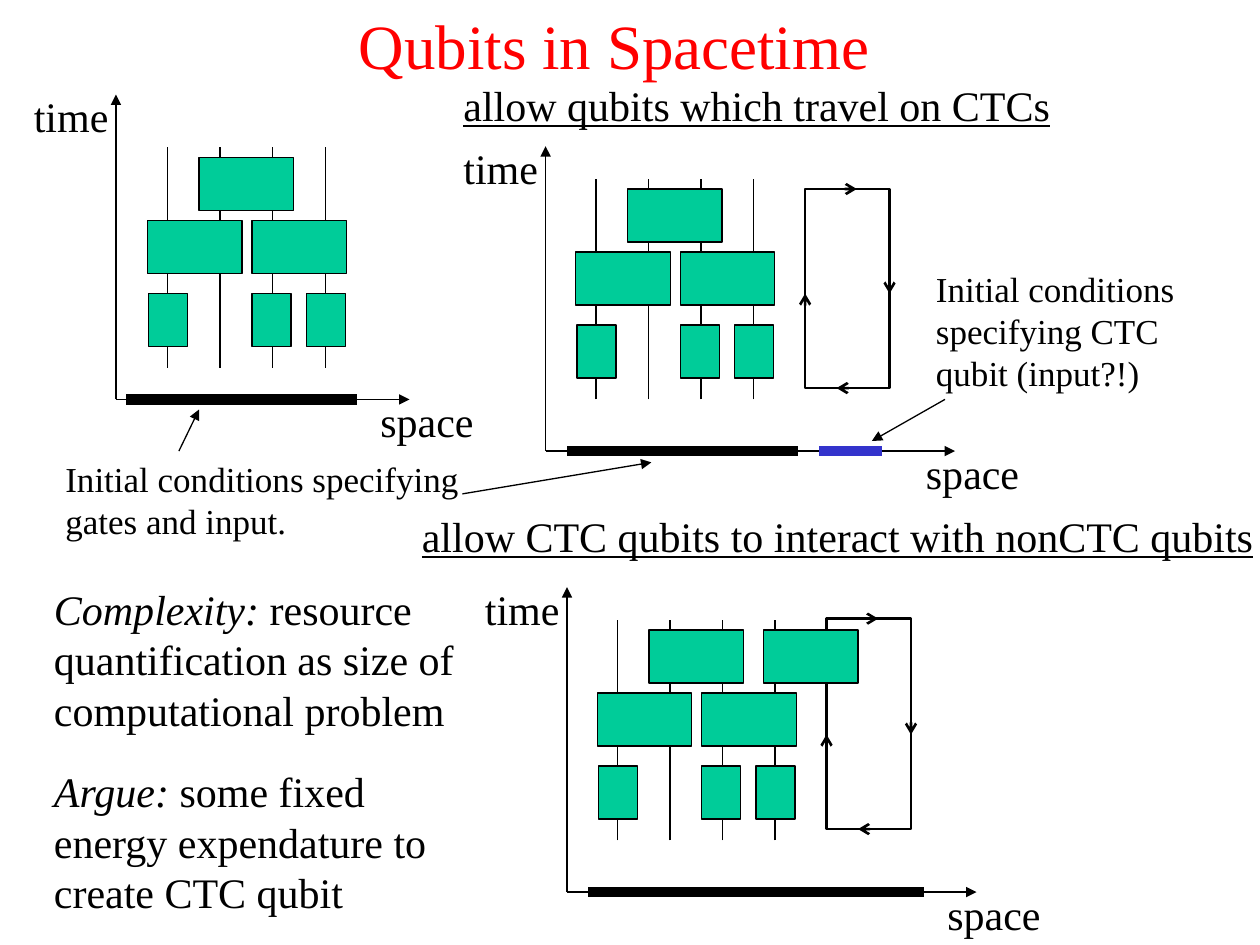
from lxml import etree
from pptx import Presentation
from pptx.dml.color import RGBColor
from pptx.enum.shapes import MSO_CONNECTOR, MSO_SHAPE
from pptx.enum.text import MSO_AUTO_SIZE
from pptx.oxml.ns import qn
from pptx.util import Cm, Pt

LINE, RECT = MSO_CONNECTOR.STRAIGHT, MSO_SHAPE.RECTANGLE
GROW = MSO_AUTO_SIZE.SHAPE_TO_FIT_TEXT
BLACK = RGBColor(0x00, 0x00, 0x00)
WHITE = RGBColor(0xFF, 0xFF, 0xFF)
RED = RGBColor(0xFF, 0x00, 0x00)
GREEN = RGBColor(0x00, 0xCC, 0x99)
BLUE = RGBColor(0x33, 0x33, 0xCC)
FACE = "Times New Roman"

# All lengths below are inches.
UNDER, SLANT, SMALL = {"underline": True}, {"italic": True}, {"size": Pt(20)}
HEAD = {"size": Pt(36), "color": RED}

# box (left, top, width, height), runs of (text, format)
TEXTS = [
    ((2.75, 0, 4.38, 0.7), [("Qubits in Spacetime", HEAD)]),
    ((3.58, 0.58, 5, 0.5), [("allow qubits which travel on CTCs", UNDER)]),
    ((0.42, 3.58, 3.75, 0.77),
     [("Initial conditions specifying gates and input.", SMALL)]),
    ((7.33, 2.07, 2.25, 1.1),
     [("Initial conditions specifying CTC qubit (input?!)", SMALL)]),
    ((3.25, 4, 7.17, 0.5),
     [("allow CTC qubits to interact with nonCTC qubits", UNDER)]),
    ((0.33, 4.58, 3.67, 1.3),
     [("Complexity:", SLANT),
      (" resource quantification as size of computational problem", {})]),
    ((0.33, 6.03, 3.58, 1.3),
     [("Argue:", SLANT),
      (" some fixed energy expendature to create CTC qubit", {})]),
]

# Gates, measured from the foot of the first wire: left, top, width
GATES = [
    (-0.15, -0.59, 0.31), (0.67, -0.59, 0.31), (1.1, -0.59, 0.31),
    (-0.16, -1.17, 0.75), (0.67, -1.17, 0.75), (0.25, -1.67, 0.75),
]
CROSS = (1.16, -1.67, 0.75)

# Measured from the origin: axis length, foot of wires, loop height, bars
GRAPHS = [
    {"origin": (0.92, 3.17), "span": 2.33, "foot": (0.41, -0.25), "loop": 0,
     "gates": GATES, "bars": [(0.08, 1.91, BLACK)]},
    {"origin": (4.33, 3.58), "span": 3.25, "foot": (0.4, -0.41), "loop": 1.58,
     "gates": GATES, "bars": [(0.17, 2, BLACK), (2.17, 2.67, BLUE)]},
    {"origin": (4.5, 7.08), "span": 3.25, "foot": (0.4, -0.41), "loop": 1.67,
     "gates": GATES + [CROSS], "bars": [(0.17, 2.83, BLACK)]},
]
RISE, WIRES, STEP, REACH, GATE = 2.42, 4, 0.417, 1.75, 0.42
LOOP_X, LOOP_Y, LOOP_W = 2.06, -0.5, 0.67

NOTES = [  # arrows from the captions to the bars
    ((1.42, 3.58), (1.58, 3.25)),
    ((3.67, 3.92), (5.17, 3.67)),
    ((7.5, 3.17), (6.92, 3.5)),
]


def inch(*vals):
    return [Cm(2.54 * val) for val in vals]


def line(slide, start, end, tip=None, width=0.75, color=BLACK):
    link = slide.shapes.add_connector(LINE, *inch(*start, *end))
    link.line.color.rgb = color
    link.line.width = Pt(width)
    if tip:
        etree.SubElement(link.line._get_or_add_ln(), qn("a:tailEnd"), type=tip)
    etree.SubElement(link._element.spPr, qn("a:effectLst"))


def block(slide, box, fill, width=0.75):
    rect = slide.shapes.add_shape(RECT, *inch(*box))
    rect.shadow.inherit = False
    rect.fill.solid()
    rect.fill.fore_color.rgb = fill
    rect.line.color.rgb = BLACK
    rect.line.width = Pt(width)


def label(slide, box, runs):
    frame = slide.shapes.add_textbox(*inch(*box)).text_frame
    frame.word_wrap = True
    frame.auto_size = GROW
    for text, style in runs:
        run = frame.paragraphs[0].add_run()
        run.text = text
        look = {"name": FACE, "size": Pt(24), "color": BLACK, **style}
        run.font.color.rgb = look.pop("color")
        for key, val in look.items():
            setattr(run.font, key, val)


def draw_loop(slide, left, base, height):
    """Closed timelike curve with clockwise arrows."""
    top, right = base - height, left + LOOP_W
    block(slide, (left, top, LOOP_W, height), WHITE, 1.5)
    for start, end in [
        ((left, base - 0.58), (left, base - 0.75)),
        ((left + 0.25, top), (left + 0.41, top)),
        ((right, base - 0.92), (right, base - 0.75)),
        ((left + 0.41, base), (left + 0.25, base)),
    ]:
        line(slide, start, end, "arrow", 1.5)


def draw_graph(slide, graph):
    x, y = graph["origin"]
    span = graph["span"]
    if graph["loop"]:
        draw_loop(slide, x + LOOP_X, y + LOOP_Y, graph["loop"])
    foot_x, foot_y = x + graph["foot"][0], y + graph["foot"][1]
    for i in range(WIRES):
        wire = foot_x + i * STEP
        line(slide, (wire, foot_y), (wire, foot_y - REACH))
    for left, top, width in graph["gates"]:
        block(slide, (foot_x + left, foot_y + top, width, GATE), GREEN)
    line(slide, (x, y), (x + span, y), "triangle")
    line(slide, (x, y), (x, y - RISE), "triangle")
    for start, end, color in graph["bars"]:
        line(slide, (x + start, y), (x + end, y), width=6, color=color)
    label(slide, (x + span - 0.33, y - 0.08, 1.08, 0.5), [("space", {})])
    label(slide, (x - 0.75, y - 2.5, 1.08, 0.5), [("time", {})])


def main():
    deck = Presentation()
    deck.slide_width, deck.slide_height = inch(10, 7.5)
    slide = deck.slides.add_slide(deck.slide_layouts[6])
    for graph in GRAPHS:
        draw_graph(slide, graph)
    for start, end in NOTES:
        line(slide, start, end, "triangle")
    for box, runs in TEXTS:
        label(slide, box, runs)
    deck.save("out.pptx")


if __name__ == "__main__":
    main()
